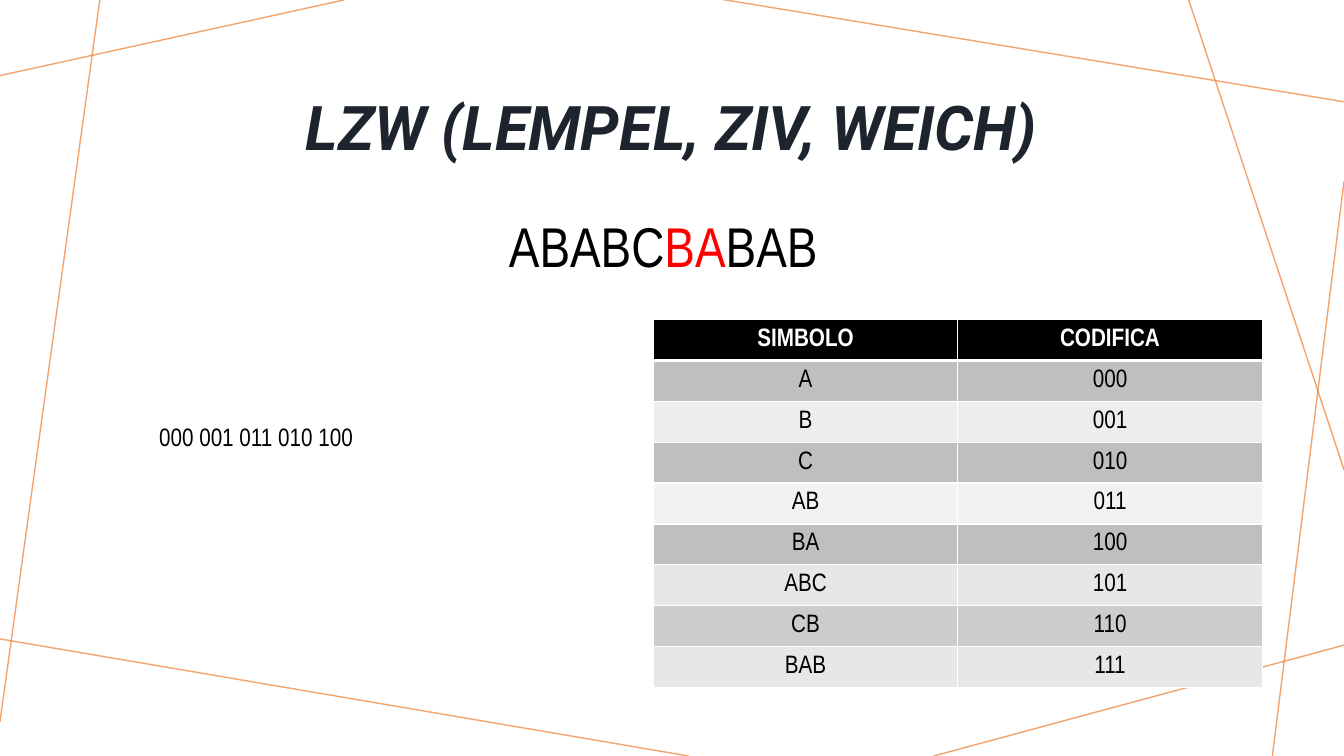
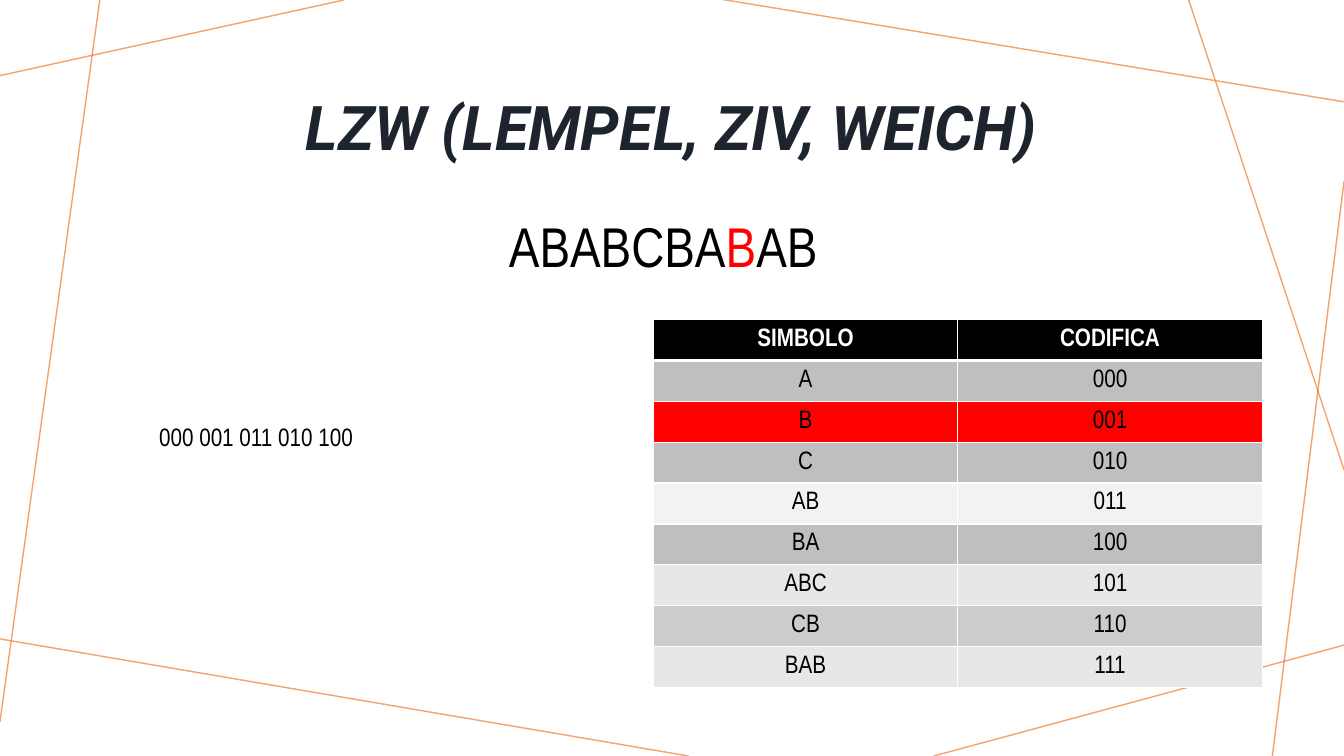
from lxml.etree import SubElement
from pptx import Presentation
from pptx.dml.color import RGBColor
from pptx.enum.shapes import MSO_CONNECTOR
from pptx.enum.text import MSO_ANCHOR, MSO_AUTO_SIZE, PP_ALIGN
from pptx.oxml.ns import qn
from pptx.util import Inches, Pt

# Content
TITLE = "LZW (LEMPEL, ZIV, WEICH)"
HEADINGS = ("SIMBOLO", "CODIFICA")
DICTIONARY = [
    ("A", "000", "BFBFBF"),
    ("B", "001", "EDEDED"),
    ("C", "010", "BFBFBF"),
    ("AB", "011", "F2F2F2"),
    ("BA", "100", "BFBFBF"),
    ("ABC", "101", "E7E7E7"),
    ("CB", "110", "CCCCCC"),
    ("BAB", "111", "E7E7E7"),
]
STEPS = [
    {"sequence": ("ABABC", "BA", "BAB"), "output": "000 001 011 010 100", "match": None},
    {"sequence": ("ABABCBA", "B", "AB"), "output": "000 001 011 010 100", "match": "B"},
]

# Shared style
COLORS = {"accent": "ED7D31", "title": "1D242E", "text": "000000",
          "highlight": "FF0000", "white": "FFFFFF"}
TITLE_FONT = {"name": "Roboto", "size": Pt(44), "bold": True, "italic": True}
SEQUENCE_FONT = {"name": "Arial Narrow", "size": Pt(40)}
BODY_FONT = {"name": "Arial Narrow", "size": Pt(18), "bold": False}
HEADING_FONT = {**BODY_FONT, "bold": True}
TITLE_BOX = {"left": 1.25, "top": 0.54, "width": 10.83, "height": 1.51}
SEQUENCE_BOX = (4.95, 2.05, 3.44, 0.77)
TABLE_BOX = (6.48, 3.17, 6.04, 3.65)
OUTPUT_BOX = (1.48, 4.13, 5, 0.4)
BACKGROUND_LINES = [
    (3.41, 0, 0, 0.75),
    (0.99, 0, 0, 7.16),
    (6.83, 7.5, -0.05, 6.33),
    (13.33, 6.4, 9.26, 7.5),
    (13.33, 1.8, 12.62, 7.5),
    (13.33, 4.66, 11.79, 0),
    (13.33, 1.01, 7.14, -0.01),
]


def inches(values):
    return [Inches(value) for value in values]


def add_run(paragraph, text, font, color):
    run = paragraph.add_run()
    run.text = text
    for name, value in font.items():
        setattr(run.font, name, value)
    run.font.color.rgb = RGBColor.from_string(COLORS[color])


def add_background(slide, layout):
    """Draw the lines, then move them to the layout that all slides share."""
    for number, ends in enumerate(BACKGROUND_LINES):
        line = slide.shapes.add_connector(MSO_CONNECTOR.STRAIGHT, *inches(ends))
        line.line.width = Pt(1)
        line.line.color.rgb = RGBColor.from_string(COLORS["accent"])
        color = line.element.find(".//" + qn("a:srgbClr"))
        SubElement(color, qn("a:alpha"), val="70000")
        SubElement(line.element.spPr, qn("a:effectLst"))
        line.element.nvCxnSpPr.cNvPr.id = 20 + number
        layout.shapes.element.append(line.element)


def add_title(slide):
    title = slide.shapes.title
    for name, value in TITLE_BOX.items():
        setattr(title, name, Inches(value))
    frame = title.text_frame
    frame.vertical_anchor = MSO_ANCHOR.MIDDLE
    paragraph = frame.paragraphs[0]
    paragraph.alignment = PP_ALIGN.CENTER
    paragraph.line_spacing = 0.9
    add_run(paragraph, TITLE, TITLE_FONT, "title")


def add_text(slide, box, font, parts):
    frame = slide.shapes.add_textbox(*inches(box)).text_frame
    frame.word_wrap = True
    frame.auto_size = MSO_AUTO_SIZE.SHAPE_TO_FIT_TEXT
    for text, color in parts:
        add_run(frame.paragraphs[0], text, font, color)


def set_borders(cell, row):
    widths = {"a:lnL": 1, "a:lnR": 1,
              "a:lnT": 3 if row == 1 else 1,
              "a:lnB": 3 if row == 0 else 1}
    properties = cell._tc.get_or_add_tcPr()
    for side, width in widths.items():
        border = SubElement(properties, qn(side), w=str(Pt(width)))
        fill = SubElement(border, qn("a:solidFill"))
        SubElement(fill, qn("a:srgbClr"), val=COLORS["white"])


def add_dictionary(slide, match):
    rows = [(*HEADINGS, COLORS["text"]), *DICTIONARY]
    table = slide.shapes.add_table(len(rows), len(HEADINGS), *inches(TABLE_BOX)).table
    for row, (symbol, code, shade) in enumerate(rows):
        font, color = (BODY_FONT, "text") if row else (HEADING_FONT, "white")
        if symbol == match:
            shade = COLORS["highlight"]
        for column, text in enumerate((symbol, code)):
            cell = table.cell(row, column)
            set_borders(cell, row)
            cell.fill.solid()
            cell.fill.fore_color.rgb = RGBColor.from_string(shade)
            cell.vertical_anchor = MSO_ANCHOR.MIDDLE
            paragraph = cell.text_frame.paragraphs[0]
            paragraph.alignment = PP_ALIGN.CENTER
            add_run(paragraph, text, font, color)


def main():
    deck = Presentation()
    deck.slide_width, deck.slide_height = inches((13.33, 7.5))
    title_only = deck.slide_layouts[5]
    for number, step in enumerate(STEPS):
        slide = deck.slides.add_slide(title_only)
        if number == 0:
            add_background(slide, title_only)
        add_title(slide)
        sequence = zip(step["sequence"], ("text", "highlight", "text"))
        add_text(slide, SEQUENCE_BOX, SEQUENCE_FONT, sequence)
        add_dictionary(slide, step["match"])
        add_text(slide, OUTPUT_BOX, BODY_FONT, [(step["output"], "text")])
    deck.save("out.pptx")


if __name__ == "__main__":
    main()
